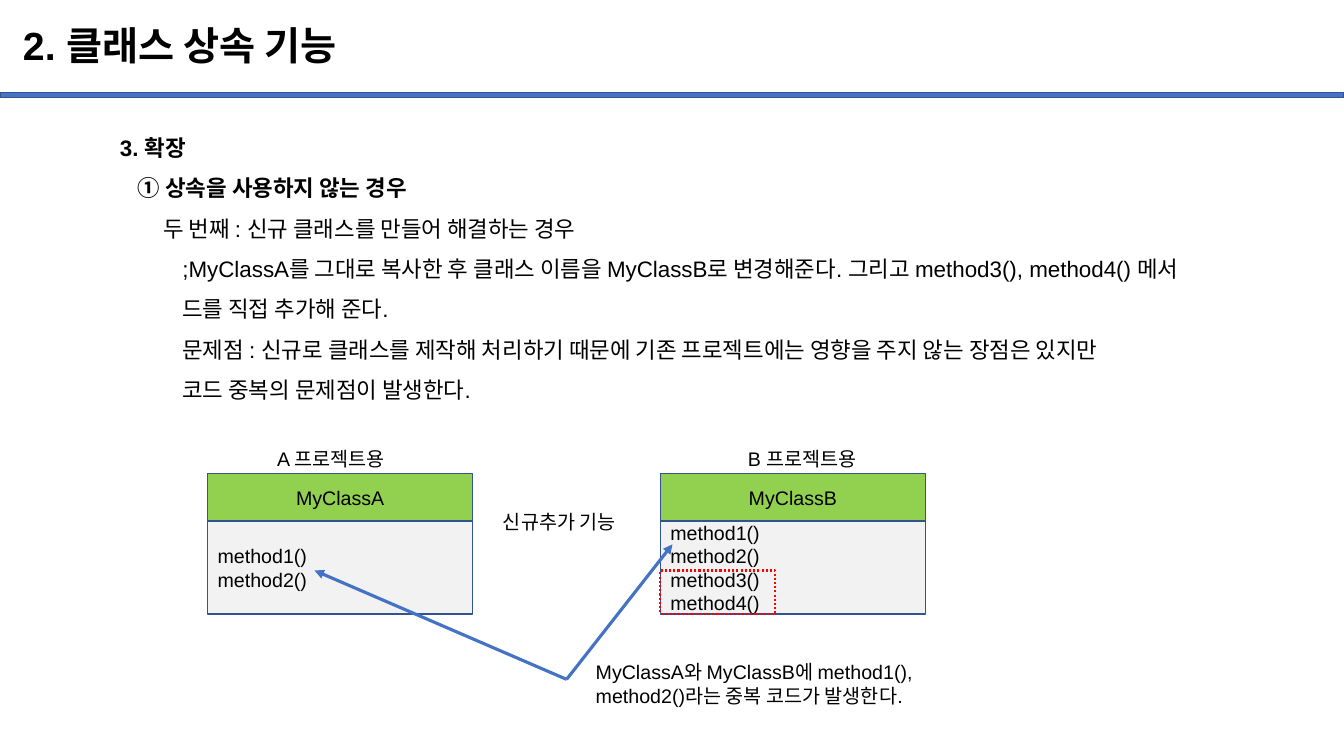
from lxml import etree
from pptx import Presentation
from pptx.dml.color import RGBColor
from pptx.enum.dml import MSO_LINE
from pptx.enum.shapes import MSO_CONNECTOR, MSO_SHAPE
from pptx.enum.text import MSO_ANCHOR, PP_ALIGN
from pptx.oxml.ns import qn
from pptx.util import Inches, Pt

BLACK = RGBColor(0x00, 0x00, 0x00)
BLUE = RGBColor(0x44, 0x72, 0xC4)
NAVY = RGBColor(0x32, 0x54, 0x91)
GREEN = RGBColor(0x92, 0xD0, 0x50)
GRAY = RGBColor(0xF2, 0xF2, 0xF2)
RED = RGBColor(0xFF, 0x00, 0x00)
RECTANGLE = MSO_SHAPE.RECTANGLE
STRAIGHT = MSO_CONNECTOR.STRAIGHT
DOTTED = MSO_LINE.ROUND_DOT
LEFT, CENTER = PP_ALIGN.LEFT, PP_ALIGN.CENTER
TOP, MIDDLE = MSO_ANCHOR.TOP, MSO_ANCHOR.MIDDLE


def write(frame, lines, size=14, bold=False, align=LEFT, anchor=TOP, spacing=1.0):
    """Fill a frame; each line is a text or a (text, indent, bold) tuple."""
    frame.word_wrap = True
    frame.vertical_anchor = anchor
    for number, line in enumerate(lines):
        text, indent, heavy = line if isinstance(line, tuple) else (line, 0, bold)
        paragraph = frame.paragraphs[0] if number == 0 else frame.add_paragraph()
        paragraph.alignment = align
        paragraph.line_spacing = spacing
        if indent:
            properties = paragraph._p.get_or_add_pPr()
            properties.set("marL", str(Inches(indent)))
            properties.set("indent", "0")
        run = paragraph.add_run()
        run.text = text
        run.font.name = "Arial"
        run.font.size = Pt(size)
        run.font.bold = heavy
        run.font.color.rgb = BLACK


class Painter:
    def __init__(self, slide):
        self.slide = slide

    def text(self, left, top, width, height, lines, **style):
        box = self.slide.shapes.add_textbox(
            Inches(left), Inches(top), Inches(width), Inches(height))
        write(box.text_frame, lines, **style)

    def box(self, left, top, width, height, lines=(), fill=None,
            line=NAVY, weight=1, dash=None, **style):
        shape = self.slide.shapes.add_shape(
            RECTANGLE, Inches(left), Inches(top), Inches(width), Inches(height))
        shape.shadow.inherit = False
        if fill is None:
            shape.fill.background()
        else:
            shape.fill.solid()
            shape.fill.fore_color.rgb = fill
        shape.line.color.rgb = line
        shape.line.width = Pt(weight)
        if dash is not None:
            shape.line.dash_style = dash
        if lines:
            write(shape.text_frame, lines, anchor=MIDDLE, **style)

    def arrow(self, start, end):
        arrow = self.slide.shapes.add_connector(
            STRAIGHT, *(Inches(value) for value in (*start, *end)))
        arrow.line.color.rgb = BLUE
        arrow.line.width = Pt(2.25)
        etree.SubElement(arrow.line._get_or_add_ln(), qn("a:tailEnd"), type="triangle")
        etree.SubElement(arrow._element.spPr, qn("a:effectLst"))


deck = Presentation()
deck.slide_width, deck.slide_height = Inches(13.33), Inches(7.5)
painter = Painter(deck.slides.add_slide(deck.slide_layouts[6]))

# Heading
painter.box(0, 0.92, 13.33, 0.05, fill=BLUE)
painter.text(0.13, 0.1, 11.5, 0.74, ["2. 클래스 상속 기능"],
             size=28, bold=True, anchor=MIDDLE, spacing=0.9)

# Explanation
DETAIL = 0.62
painter.text(1.09, 1.15, 11.72, 2.85, [
    ("3. 확장", 0, True),
    ("① 상속을 사용하지 않는 경우", 0.18, True),
    ("두 번째 : 신규 클래스를 만들어 해결하는 경우", 0.43, False),
    (";MyClassA를 그대로 복사한 후 클래스 이름을 MyClassB로 변경해준다. "
     "그리고 method3(), method4() 메서", DETAIL, False),
    ("드를 직접 추가해 준다.", DETAIL, False),
    ("문제점 : 신규로 클래스를 제작해 처리하기 때문에 기존 프로젝트에는 "
     "영향을 주지 않는 장점은 있지만", DETAIL, False),
    ("코드 중복의 문제점이 발생한다.", DETAIL, False),
], size=16, spacing=1.5)

# Class diagrams
CLASS_WIDTH = 2.63
for project, left, label_left, method_count in (("A", 2.06, 2.65, 2),
                                                ("B", 6.55, 7.32, 4)):
    methods = [f"method{number}()" for number in range(1, method_count + 1)]
    painter.box(left, 4.7, CLASS_WIDTH, 0.47, [f"MyClass{project}"],
                fill=GREEN, align=CENTER)
    painter.box(left, 5.17, CLASS_WIDTH, 0.92, methods, fill=GRAY)
    painter.text(label_left, 4.38, 1.38, 0.34, [f"{project} 프로젝트용"])

# Added methods
painter.box(6.55, 5.66, 1.14, 0.43, line=RED, weight=1.5, dash=DOTTED)
painter.text(4.89, 5.01, 1.45, 0.34, ["신규추가 기능"])

# Duplicate code
duplicate = (5.62, 6.74)
for methods_point in ((6.67, 5.4), (3.12, 5.66)):
    painter.arrow(duplicate, methods_point)
painter.text(5.81, 6.5, 3.53, 0.57, [
    "MyClassA와 MyClassB에 method1(),",
    "method2()라는 중복 코드가 발생한다.",
])

deck.save("out.pptx")
